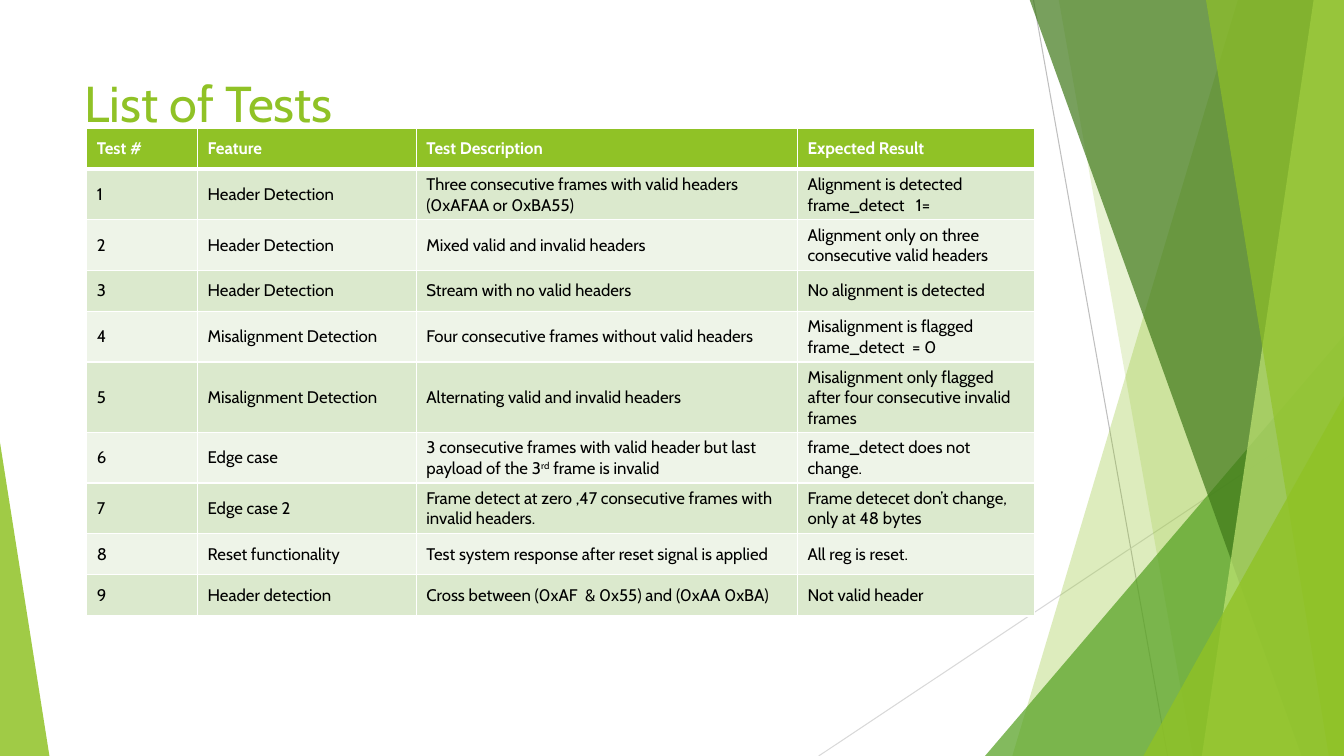
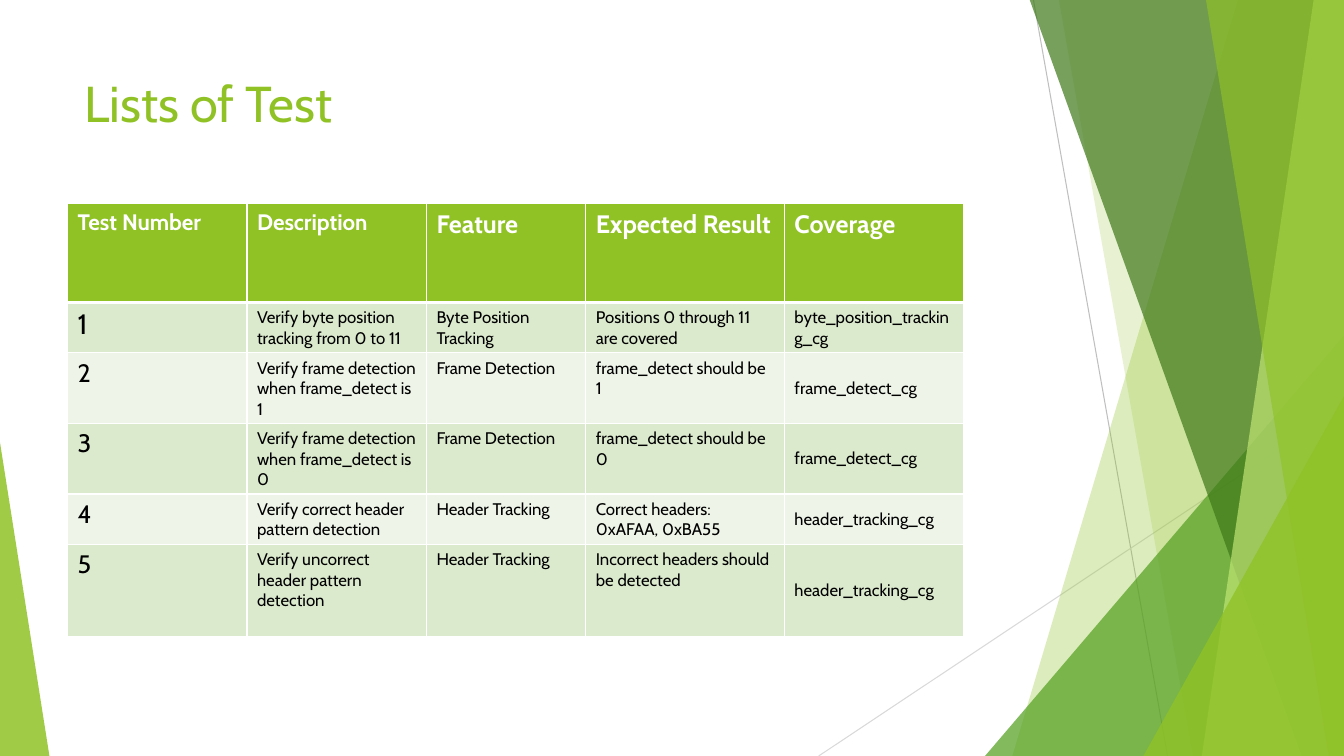
import pptx
import pptx.dml.color
import pptx.enum.shapes
import pptx.enum.text
import pptx.oxml
import pptx.oxml.ns
import pptx.util

PX = 9144  # 100 px to the inch
WIDE, HIGH = 1333, 750
FONT = "Cabin"

RGB = pptx.dml.color.RGBColor
LIME = RGB(0x90, 0xC2, 0x26)
GREEN = RGB(0x54, 0xA0, 0x21)
DARK = RGB(0x3F, 0x78, 0x19)
PALE = RGB(0xC0, 0xE4, 0x74)
GREY = RGB(0xBF, 0xBF, 0xBF)
SILVER = RGB(0xD9, 0xD9, 0xD9)
BLACK = RGB(0, 0, 0)
WHITE = RGB(0xFF, 0xFF, 0xFF)
ODD = RGB(0xDB, 0xE9, 0xCD)
EVEN = RGB(0xEE, 0xF4, 0xE8)

LINES = [
    (GREY, (1025, 0, 1158, HIGH)),
    (SILVER, (WIDE, 403, 812, HIGH)),
]

# A pair is a band to the right edge (top x, bottom x);
# five numbers are a triangle (left, top, width, height, apex).
FACETS = [
    (LIME, 30, (1228, 1004)),
    (LIME, 20, (1050, 1183)),
    (GREEN, 72, (977, 333, 356, 417, 1)),
    (DARK, 70, (1021, 1291)),
    (PALE, 70, (1303, 1192)),
    (LIME, 65, (1196, 1318)),
    (LIME, 80, (1134, 393, 199, 357, 1)),
    (LIME, 85, (0, 439, 49, 311, 0)),
]

# In cells, a line break starts a paragraph and bars enclose a superscript.
PAGES = [
    {
        "title": "List of Tests",
        "tall": 92,
        "at": (86, 127),
        "cols": [110, 217, 378, 235],
        "rows": [41] * 10,
        "heads": [12] * 4,
        "nums": [12] * 9,
        "mids": [range(4), range(4)],
        "cells": [
            ["Test #", "Feature", "Test Description", "Expected Result"],
            ["1", "Header Detection",
             "Three consecutive frames with valid headers (0xAFAA or 0xBA55)",
             "Alignment is detected\nframe_detect   1="],
            ["2", "Header Detection", "Mixed valid and invalid headers",
             "Alignment only on three consecutive valid headers"],
            ["3", "Header Detection", "Stream with no valid headers",
             "No alignment is detected"],
            ["4", "Misalignment Detection",
             "Four consecutive frames without valid headers",
             "Misalignment is flagged\nframe_detect  = 0"],
            ["5", "Misalignment Detection",
             "Alternating valid and invalid headers",
             "Misalignment only flagged after four consecutive invalid frames"],
            ["6", "Edge case",
             "3 consecutive frames with valid header but last payload of the "
             "3|rd| frame is invalid",
             "frame_detect does not change."],
            ["7", "Edge case 2",
             "Frame detect at zero ,47 consecutive frames with invalid headers.",
             "Frame detecet don’t change, only at 48 bytes"],
            ["8", "Reset functionality",
             "Test system response after reset signal is applied",
             "All reg is reset."],
            ["9", "Header detection",
             "Cross between (0xAF  & 0x55) and (0xAA 0xBA)",
             "Not valid header"],
        ],
    },
    {
        "title": "Lists of Test",
        "tall": 144,
        "at": (67, 202),
        "cols": [178, 178, 158, 197, 178],
        "rows": [98, 41, 41, 41, 41, 91],
        "heads": [16, 16, 18, 18, 18],
        "nums": [20, 18, 18, 18, 18],
        "mids": [[], [4]],
        "cells": [
            ["Test Number", "Description", "Feature", "Expected Result",
             "Coverage"],
            ["1", "Verify byte position tracking from 0 to 11",
             "Byte Position Tracking", "Positions 0 through 11 are covered",
             "byte_position_tracking_cg"],
            ["2", "Verify frame detection when frame_detect is 1",
             "Frame Detection", "frame_detect should be 1",
             "frame_detect_cg"],
            ["3", "Verify frame detection when frame_detect is 0",
             "Frame Detection", "frame_detect should be 0",
             "frame_detect_cg"],
            ["4", "Verify correct header pattern detection",
             "Header Tracking", "Correct headers: 0xAFAA, 0xBA55",
             "header_tracking_cg"],
            ["5", "Verify uncorrect header pattern detection",
             "Header Tracking", "Incorrect headers should be detected",
             "header_tracking_cg"],
        ],
    },
]


def write(frame, text, size, color, bold=False):
    """Fill a text frame, with paragraphs and superscripts as marked."""
    for i, line in enumerate(text.split("\n")):
        para = frame.add_paragraph() if i else frame.paragraphs[0]
        para.font.name = FONT
        para.font.size = pptx.util.Pt(size)
        para.font.bold = bold
        para.font.color.rgb = color
        for j, part in enumerate(line.split("|")):
            run = para.add_run()
            run.text = part
            if j % 2:
                run.font._element.set("baseline", "30000")


def adorn(shapes):
    """Draw the lines and the clear green facets that all slides share."""
    for color, ends in LINES:
        line = shapes.add_connector(
            pptx.enum.shapes.MSO_CONNECTOR.STRAIGHT, *[n * PX for n in ends])
        line.line.color.rgb = color
        line.line.width = pptx.util.Pt(0.75)
        pptx.oxml.ns.qn("a:effectLst")
        line._element.spPr.append(
            pptx.oxml.xmlchemy.OxmlElement("a:effectLst"))
    for color, alpha, form in FACETS:
        if len(form) == 2:
            top, base = form
            pen = shapes.build_freeform(top, -1, scale=PX)
            pen.add_line_segments([(WIDE, -1), (WIDE, HIGH), (base, HIGH)])
            facet = pen.convert_to_shape()
        else:
            facet = shapes.add_shape(
                pptx.enum.shapes.MSO_SHAPE.ISOSCELES_TRIANGLE,
                *[n * PX for n in form[:4]])
            facet.adjustments[0] = form[4]
        facet.shadow.inherit = False
        facet.line.fill.background()
        facet.fill.solid()
        facet.fill.fore_color.rgb = color
        tone = facet._element.spPr.find(".//" + pptx.oxml.ns.qn("a:srgbClr"))
        clear = pptx.oxml.xmlchemy.OxmlElement("a:alpha")
        clear.set("val", str(alpha * 1000))
        tone.append(clear)


deck = pptx.Presentation()
deck.slide_width = WIDE * PX
deck.slide_height = HIGH * PX

for page in PAGES:
    shapes = deck.slides.add_slide(deck.slide_layouts[6]).shapes
    adorn(shapes)

    title = shapes.add_textbox(74 * PX, 67 * PX, 940 * PX, page["tall"] * PX)
    title.text_frame.word_wrap = True
    write(title.text_frame, page["title"], 36, LIME)

    cols, rows = page["cols"], page["rows"]
    left, top = page["at"]
    table = shapes.add_table(
        len(rows), len(cols), left * PX, top * PX,
        sum(cols) * PX, sum(rows) * PX).table
    for c, width in enumerate(cols):
        table.columns[c].width = width * PX
    for r, height in enumerate(rows):
        table.rows[r].height = height * PX
        for c, text in enumerate(page["cells"][r]):
            cell = table.cell(r, c)
            if r == 0:
                size, color, fill = page["heads"][c], WHITE, LIME
            else:
                size = 12 if c else page["nums"][r - 1]
                color, fill = BLACK, ODD if r % 2 else EVEN
            write(cell.text_frame, text, size, color, r == 0)
            if c in page["mids"][min(r, 1)]:
                cell.vertical_anchor = pptx.enum.text.MSO_ANCHOR.MIDDLE
            props = cell._tc.get_or_add_tcPr()
            for side in "LRTB":
                thick = 3 if (r, side) in [(0, "B"), (1, "T")] else 1
                props.append(pptx.oxml.parse_xml(
                    f'<a:ln{side} {pptx.oxml.ns.nsdecls("a")} '
                    f'w="{pptx.util.Pt(thick)}"><a:solidFill>'
                    f'<a:srgbClr val="{WHITE}"/></a:solidFill></a:ln{side}>'))
            cell.fill.solid()
            cell.fill.fore_color.rgb = fill

deck.save("out.pptx")
